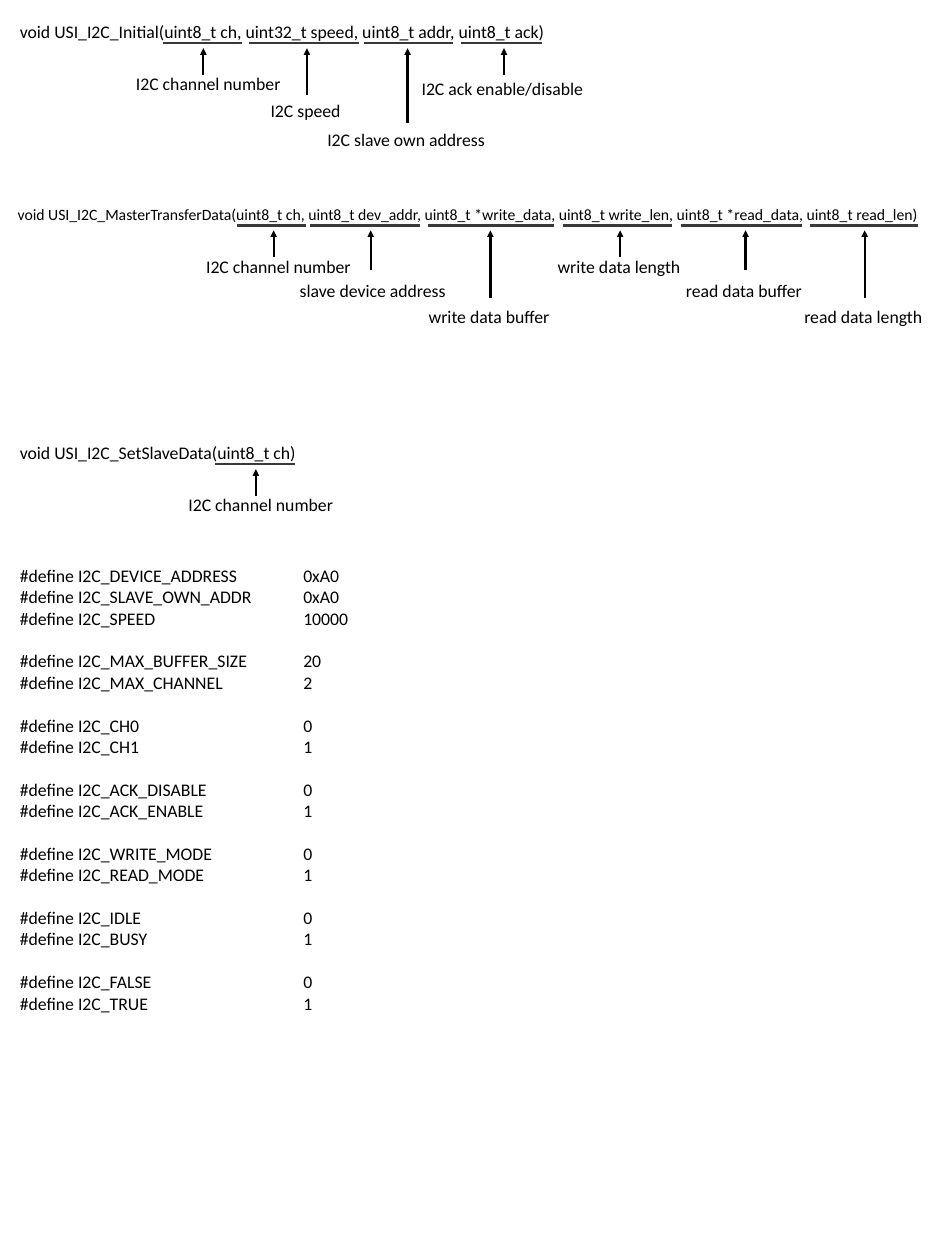
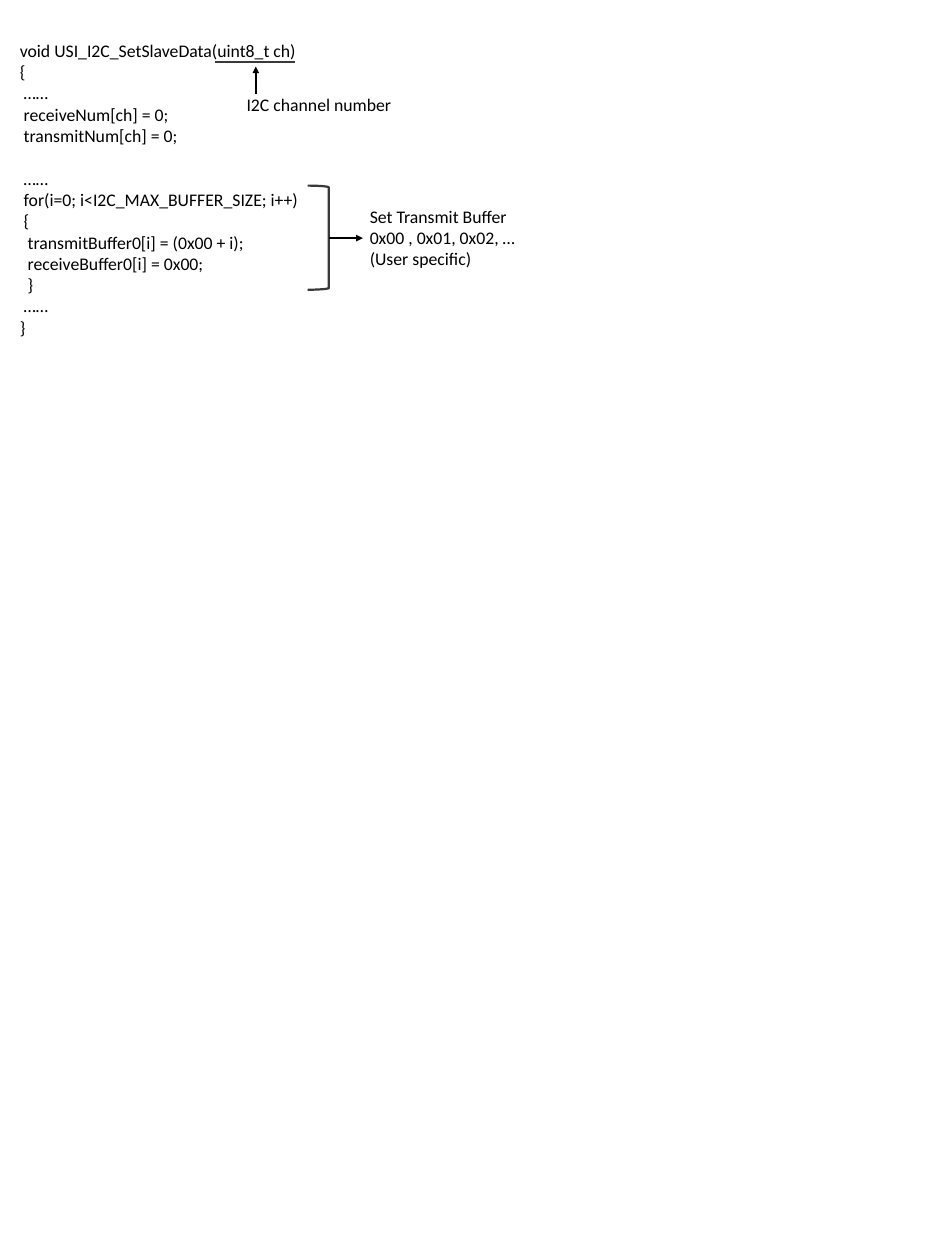
from pptx import Presentation
from pptx.dml.color import RGBColor
from pptx.enum.shapes import MSO_CONNECTOR, MSO_SHAPE
from pptx.enum.text import MSO_AUTO_SIZE
from pptx.oxml.ns import qn
from pptx.util import Pt
from lxml import etree

STRAIGHT = MSO_CONNECTOR.STRAIGHT
BRACKET = MSO_SHAPE.RIGHT_BRACKET
GROW = MSO_AUTO_SIZE.SHAPE_TO_FIT_TEXT


class Sheet:
    colors = {"ink": "000000", "rule": "3B3838"}
    font = "Calibri"
    size = 18
    weight = 2.25
    row = 22
    left = 13
    width = 929

    def __init__(self, deck):
        self.deck = deck
        self.slide = None

    def page(self):
        self.slide = self.deck.slides.add_slide(self.deck.slide_layouts[6])

    def color(self, name):
        return RGBColor.from_string(self.colors[name])

    def text(self, x, y, width, lines, size=None, wrap=True):
        size = size or self.size
        box = self.slide.shapes.add_textbox(
            Pt(x), Pt(y), Pt(width), Pt(size * 1.22 * len(lines) + 7.2))
        frame = box.text_frame
        frame.word_wrap = wrap
        frame.auto_size = GROW
        frame.text = "\n".join(lines)
        for para in frame.paragraphs:
            for run in para.runs:
                run.font.name = self.font
                run.font.size = Pt(size)
                run.font.color.rgb = self.color("ink")
        return frame.paragraphs

    def stroke(self, shape, name):
        shape.line.color.rgb = self.color(name)
        shape.line.width = Pt(self.weight)

    def line(self, x1, y1, x2, y2, name="rule", arrow=False):
        link = self.slide.shapes.add_connector(
            STRAIGHT, Pt(x1), Pt(y1), Pt(x2), Pt(y2))
        self.stroke(link, name)
        props = link.element.spPr
        if arrow:
            head = etree.SubElement(props.find(qn("a:ln")), qn("a:tailEnd"))
            head.set("type", "triangle")
        etree.SubElement(props, qn("a:effectLst"))

    def arrow(self, x1, y1, x2, y2):
        self.line(x1, y1, x2, y2, "ink", True)

    def bracket(self, x, y, width, height):
        shape = self.slide.shapes.add_shape(
            BRACKET, Pt(x), Pt(y), Pt(width), Pt(height))
        shape.shadow.inherit = False
        shape.fill.background()
        self.stroke(shape, "rule")

    def params(self, base, items):
        for start, end, mid, tail, x, drop, width, label in items:
            self.line(start, base, end, base)
            self.arrow(mid, base + tail, mid, base + 5)
            self.text(x, base + drop, width, [label], wrap=False)

    def defines(self, y, groups, stop):
        rows = [(name, value, n > 0 and i == 0)
                for n, group in enumerate(groups)
                for i, (name, value) in enumerate(group)]
        lines = [f"#define I2C_{name}\t{value}" for name, value, _ in rows]
        paras = self.text(self.left, y, self.width, lines)
        for para, (_, _, first) in zip(paras, rows):
            if first:
                para.space_before = Pt(self.row)
            tabs = etree.SubElement(para._p.get_or_add_pPr(), qn("a:tabLst"))
            tab = etree.SubElement(tabs, qn("a:tab"))
            tab.set("pos", str(Pt(stop)))
            tab.set("algn", "l")

    def code(self, y, rows, gaps):
        paras = self.text(self.left, y, self.width, [line for _, line in rows])
        for n, (para, (level, _)) in enumerate(zip(paras, rows)):
            para._p.get_or_add_pPr().set("marL", str(Pt(level * 4)))
            if n in gaps:
                para.space_before = Pt(self.row)


CHANNEL = "I2C channel number"
SETTER = "void USI_I2C_SetSlaveData(uint8_t ch)"

INITIAL = [
    (165.6, 246.2, 206.6, 32, 131, 26.6, 163.4, CHANNEL),
    (253.4, 364.3, 311.8, 53, 267.8, 54, 86.4, "I2C speed"),
    (370, 460, 414, 80.6, 325.4, 82.8, 176.4, "I2C slave own address"),
    (468, 550.8, 512, 32, 421.2, 31, 180.7, "I2C ack enable/disable"),
]
TRANSFER = [
    (241.2, 311, 278, 32.4, 202.3, 27.4, 163.4, CHANNEL),
    (315.4, 426.2, 376.6, 45.4, 297.4, 51.8, 164.9, "slave device address"),
    (434.9, 563, 498.2, 73.4, 428.4, 77.8, 139, "write data buffer"),
    (571.7, 682.6, 630, 32.4, 559.4, 27.4, 141.1, "write data length"),
    (691.9, 815, 757.4, 45.4, 689.8, 51.8, 133.9, "read data buffer"),
    (823, 932.4, 878.4, 73.4, 810, 77.8, 136.1, "read data length"),
]
DEFINES = [
    [("DEVICE_ADDRESS", "0xA0"), ("SLAVE_OWN_ADDR", "0xA0"), ("SPEED", "10000")],
    [("MAX_BUFFER_SIZE", "20"), ("MAX_CHANNEL", "2")],
    [("CH0", "0"), ("CH1", "1")],
    [("ACK_DISABLE", "0"), ("ACK_ENABLE", "1")],
    [("WRITE_MODE", "0"), ("READ_MODE", "1")],
    [("IDLE", "0"), ("BUSY", "1")],
    [("FALSE", "0"), ("TRUE", "1")],
]
BODY = [
    (0, SETTER),
    (0, "{"),
    (1, "……"),
    (1, "receiveNum[ch] = 0;"),
    (1, "transmitNum[ch] = 0;"),
    (1, "……"),
    (1, "for(i=0; i<I2C_MAX_BUFFER_SIZE; i++)"),
    (1, "{"),
    (2, "transmitBuffer0[i] = (0x00 + i);"),
    (2, "receiveBuffer0[i] = 0x00;"),
    (2, "}"),
    (1, "……"),
    (0, "}"),
]

deck = Presentation()
deck.slide_width = Pt(960)
deck.slide_height = Pt(1280)
sheet = Sheet(deck)

sheet.page()
sheet.text(sheet.left, 17.3, sheet.width, [
    "void USI_I2C_Initial(uint8_t ch, uint32_t speed, uint8_t addr, uint8_t ack)"])
sheet.params(44, INITIAL)
sheet.text(10.8, 204.5, 946, [
    "void USI_I2C_MasterTransferData(uint8_t ch, uint8_t dev_addr, "
    "uint8_t *write_data, uint8_t write_len, uint8_t *read_data, "
    "uint8_t read_len)"], size=16)
sheet.params(229, TRANSFER)
sheet.text(sheet.left, 445, sheet.width, [SETTER])
sheet.params(471.6, [(218.9, 299.5, 259.9, 32.4, 184.3, 26.6, 163.4, CHANNEL)])
sheet.defines(570.2, DEFINES, 288)

sheet.page()
sheet.code(36.7, BODY, {5})
sheet.params(62.6, [(218.9, 299.5, 259.9, 32.4, 243.4, 29.6, 163.4, CHANNEL)])
sheet.text(368.6, 205.2, 163.4, [
    "Set Transmit Buffer", "0x00 , 0x01, 0x02, …", "(User specific)"], wrap=False)
sheet.bracket(312.5, 188.6, 21.6, 105.8)
sheet.arrow(334.1, 241.9, 368.6, 241.9)

deck.save("out.pptx")
